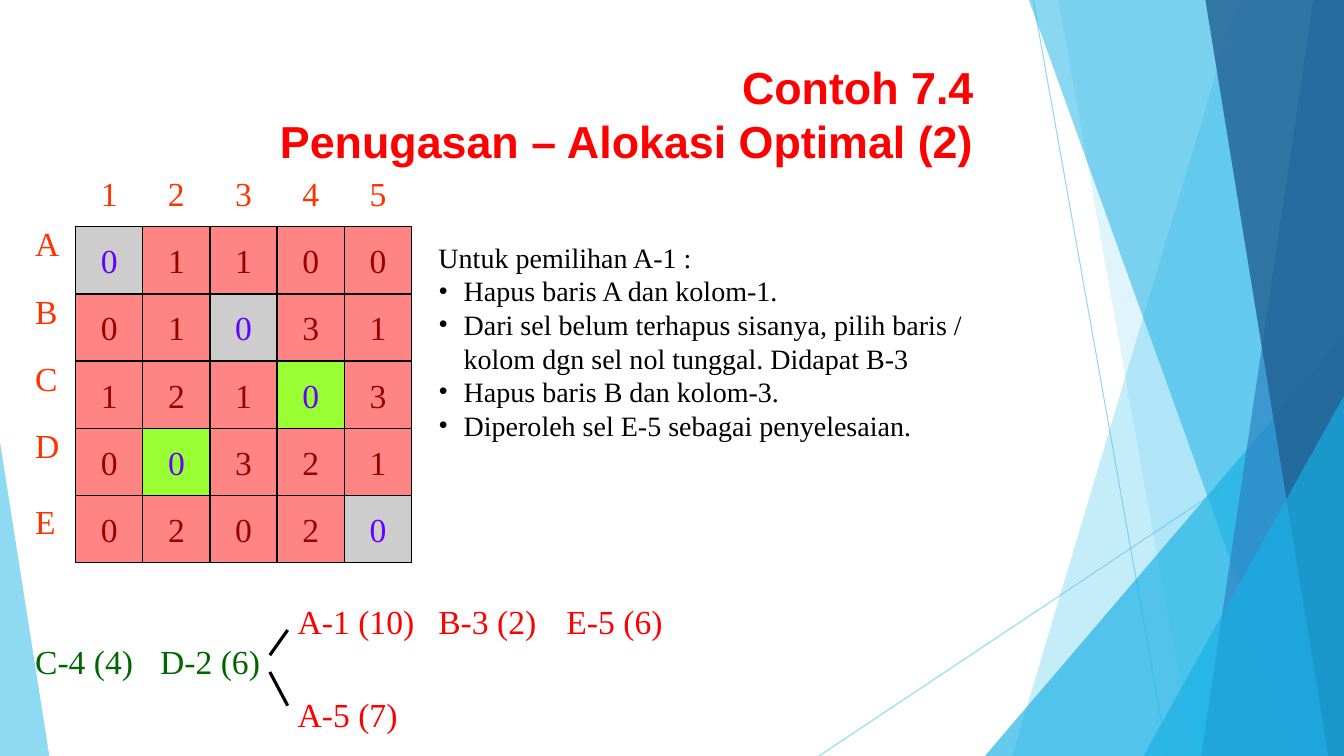
from dataclasses import dataclass

from lxml.etree import SubElement as Sub
from pptx import Presentation
from pptx.dml.color import RGBColor
from pptx.enum.shapes import MSO_CONNECTOR as Conn, MSO_SHAPE as Kind
from pptx.enum.text import MSO_ANCHOR as Anchor, MSO_AUTO_SIZE as Fit, PP_ALIGN as Align
from pptx.oxml.ns import qn
from pptx.util import Pt

PX = 9525  # EMU per px, 96 px to the inch
WIDE, HIGH = 1280, 720
SERIF, SANS = "Times New Roman", "Arial"

BLACK = RGBColor(0x00, 0x00, 0x00)
RED = RGBColor(0xFF, 0x00, 0x00)
ORANGE = RGBColor(0xFF, 0x33, 0x00)
GREEN = RGBColor(0x00, 0x66, 0x00)
MAROON = RGBColor(0x99, 0x00, 0x00)
VIOLET = RGBColor(0x66, 0x00, 0xFF)
PINK = RGBColor(0xFF, 0x85, 0x85)
GREY = RGBColor(0xCD, 0xCD, 0xCD)
LIME = RGBColor(0x99, 0xFF, 0x33)
SKY = RGBColor(0x5F, 0xCB, 0xEF)
CYAN = RGBColor(0x17, 0xB0, 0xE4)
BLUE = RGBColor(0x2E, 0x83, 0xC3)
NAVY = RGBColor(0x22, 0x62, 0x92)


@dataclass
class Line:
    x1: int
    y1: int
    x2: int
    y2: int
    color: RGBColor
    width: float
    alpha: int = 100


@dataclass
class Panel:
    """Band along the right edge, from its top-left to its bottom-left x."""
    top: int
    foot: int
    color: RGBColor
    alpha: int


@dataclass
class Wedge:
    """Triangle standing on the bottom edge; peak is 0 (left) to 1 (right)."""
    left: int
    top: int
    width: int
    peak: float
    color: RGBColor
    alpha: int


@dataclass
class Label:
    text: str
    left: int
    top: int
    width: int
    color: RGBColor
    align: Align = Align.LEFT
    wrap: bool = True


DECOR = [
    Line(984, 0, 1112, 720, SKY, 0.75, 70),
    Line(1280, 387, 780, 720, SKY, 0.75, 70),
    Panel(1179, 964, SKY, 36),
    Panel(1008, 1136, SKY, 20),
    Wedge(938, 320, 342, 1, CYAN, 66),
    Panel(980, 1239, CYAN, 50),
    Panel(1251, 1144, BLUE, 70),
    Panel(1148, 1265, NAVY, 80),
    Wedge(1089, 377, 191, 1, CYAN, 66),
    Wedge(0, 421, 47, 0, SKY, 70),
]
COSTS = ["01100", "01031", "12103", "00321", "02020"]
PICKS = {(0, 0): GREY, (1, 2): GREY, (2, 3): LIME, (3, 1): LIME, (4, 4): GREY}
CELL = 64
ROWS = {"A": 208, "B": 272, "C": 336, "D": 400, "E": 472}
HEADS = [Label(str(i + 1), 80 + CELL * i, 160, 48, ORANGE, Align.CENTER) for i in range(5)]
SIDES = [Label(name, 24, top, 48, ORANGE) for name, top in ROWS.items()]
STEPS = [
    Label("C-4 (4)", 24, 606, 116, GREEN, wrap=False),
    Label("D-2 (6)", 143, 606, 116, GREEN, wrap=False),
    Label("A-1 (10)", 274, 568, 132, RED, wrap=False),
    Label("B-3 (2)", 408, 568, 116, RED, wrap=False),
    Label("E-5 (6)", 530, 568, 116, RED, wrap=False),
    Label("A-5 (7)", 274, 656, 116, RED, wrap=False),
]
FORKS = [Line(257, 624, 274, 600, BLACK, 2.25), Line(274, 672, 257, 640, BLACK, 2.25)]
TITLE = ["Contoh 7.4", "Penugasan – Alokasi Optimal (2)"]
INTRO = "Untuk pemilihan A-1 :"
NOTES = [
    "Hapus baris A dan kolom-1.",
    "Dari sel belum terhapus sisanya, pilih baris / kolom dgn sel nol tunggal. Didapat B-3",
    "Hapus baris B dan kolom-3.",
    "Diperoleh sel E-5 sebagai penyelesaian.",
]


def place(shape, left: int, top: int, width: int, height: int) -> None:
    shape.left, shape.top = left * PX, top * PX
    shape.width, shape.height = width * PX, height * PX


def fade(node, alpha: int) -> None:
    for tone in node.iter(qn("a:srgbClr")):
        Sub(tone, qn("a:alpha"), val=str(alpha * 1000))


def write(para, text: str, size: int, color: RGBColor, face: str = SERIF, bold: bool = False) -> None:
    run = para.add_run()
    run.text = text
    run.font.name, run.font.size, run.font.bold = face, Pt(size), bold
    run.font.color.rgb = color


def paint(shape, color: RGBColor) -> None:
    shape.shadow.inherit = False
    shape.fill.solid()
    shape.fill.fore_color.rgb = color
    shape.line.fill.background()


def draw_line(shapes, spec: Line) -> None:
    ends = [v * PX for v in (spec.x1, spec.y1, spec.x2, spec.y2)]
    line = shapes.add_connector(Conn.STRAIGHT, *ends)
    line.line.color.rgb, line.line.width = spec.color, Pt(spec.width)
    if spec.alpha < 100:
        fade(line.line._get_or_add_ln(), spec.alpha)
    Sub(line._element.spPr, qn("a:effectLst"))


def draw_facet(shapes, spec: Panel | Wedge) -> None:
    if isinstance(spec, Panel):
        form = shapes.build_freeform(spec.top, 0, scale=PX)
        form.add_line_segments([(WIDE, 0), (WIDE, HIGH), (spec.foot, HIGH)], close=True)
        shape = form.convert_to_shape()
    else:
        box = (spec.left, spec.top, spec.width, HIGH - spec.top)
        shape = shapes.add_shape(Kind.ISOSCELES_TRIANGLE, *(v * PX for v in box))
        shape.adjustments[0] = spec.peak
    paint(shape, spec.color)
    fade(shape._element.spPr, spec.alpha)


def draw_label(shapes, spec: Label):
    box = shapes.add_textbox(0, 0, 0, 0)
    place(box, spec.left, spec.top, spec.width, 48)
    box.text_frame.word_wrap = spec.wrap
    box.text_frame.auto_size = Fit.SHAPE_TO_FIT_TEXT
    para = box.text_frame.paragraphs[0]
    para.alignment = spec.align
    write(para, spec.text, 24, spec.color)
    return box


def draw_costs(shapes) -> None:
    for r, row in enumerate(COSTS):
        for c, cost in enumerate(row):
            left, top = 72 + CELL * c, 216 + CELL * r
            fill = PICKS.get((r, c), PINK)
            ink = VIOLET if (r, c) in PICKS else MAROON
            cell = shapes.add_shape(Kind.RECTANGLE, left * PX, top * PX, CELL * PX, CELL * PX)
            paint(cell, fill)
            cell.line.color.rgb, cell.line.width = BLACK, Pt(1)
            number = Label(cost, left + 14, top + 8, 36, ink, Align.CENTER, False)
            box = draw_label(shapes, number)
            box.fill.solid()
            box.fill.fore_color.rgb = fill


def fill_title(shape) -> None:
    place(shape, 207, 48, 730, 120)
    frame = shape.text_frame
    frame.auto_size, frame.vertical_anchor = Fit.NONE, Anchor.MIDDLE
    para = frame.paragraphs[0]
    para.alignment = Align.RIGHT
    write(para, TITLE[0], 32, RED, SANS, True)
    para.add_line_break()
    write(para, TITLE[1], 32, RED, SANS, True)


def fill_notes(shape) -> None:
    place(shape, 408, 224, 520, 204)
    frame = shape.text_frame
    frame.auto_size = Fit.NONE
    for i, text in enumerate([INTRO, *NOTES]):
        para = frame.add_paragraph() if i else frame.paragraphs[0]
        props = para._p.get_or_add_pPr()
        props.set("marL", str(24 * PX if i else 0))
        props.set("indent", str(-24 * PX if i else 0))
        para.space_before = Pt(0)
        if i:
            Sub(props, qn("a:buFont"), typeface=SERIF)
            Sub(props, qn("a:buChar"), char="•")
        else:
            Sub(props, qn("a:buNone"))
        write(para, text, 20, BLACK)


def main() -> None:
    deck = Presentation()
    deck.slide_width, deck.slide_height = WIDE * PX, HIGH * PX
    slide = deck.slides.add_slide(deck.slide_layouts[1])
    shapes = slide.shapes
    title, body = slide.placeholders
    # Backdrop, sent behind the placeholders
    for spec in DECOR:
        (draw_line if isinstance(spec, Line) else draw_facet)(shapes, spec)
    for shape in (title, body):
        shapes._spTree.append(shape._element)
    # Title and explanation
    fill_title(title)
    fill_notes(body)
    # Cost matrix with its labels
    draw_costs(shapes)
    for spec in HEADS + SIDES + STEPS:
        draw_label(shapes, spec)
    # Fork between the two choices
    for spec in FORKS:
        draw_line(shapes, spec)
    deck.save("out.pptx")


if __name__ == "__main__":
    main()
